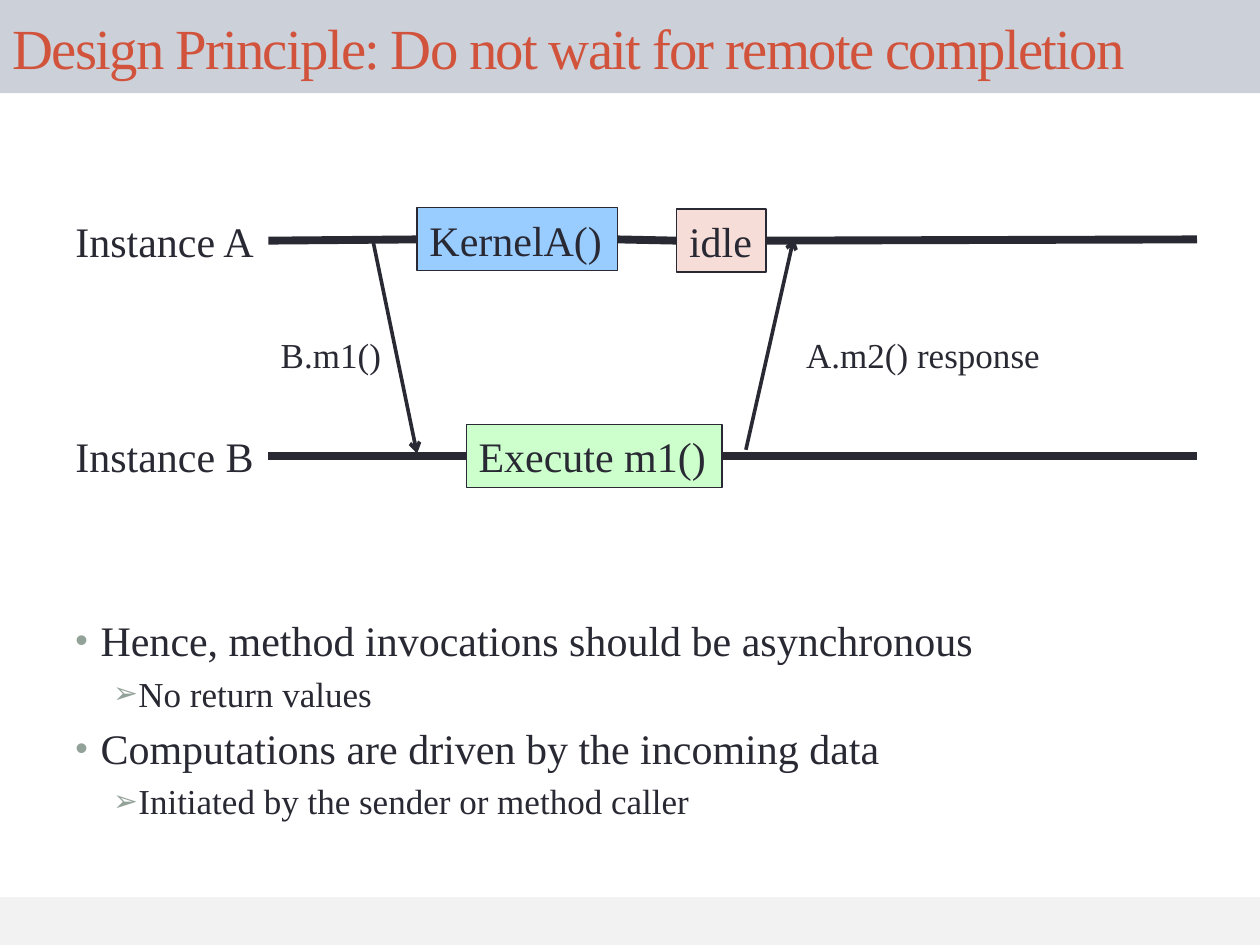
from lxml import etree
from pptx import Presentation
from pptx.dml.color import RGBColor
from pptx.enum.shapes import MSO_CONNECTOR, MSO_SHAPE
from pptx.enum.text import MSO_ANCHOR, MSO_AUTO_SIZE, PP_ALIGN
from pptx.oxml.ns import qn
from pptx.util import Inches, Pt

RECT, LINE = MSO_SHAPE.RECTANGLE, MSO_CONNECTOR.STRAIGHT
MIDDLE, TOP = MSO_ANCHOR.MIDDLE, MSO_ANCHOR.TOP
LEFT, NO_FIT = PP_ALIGN.LEFT, MSO_AUTO_SIZE.NONE
WEST, EAST = 1, 3  # connection sites of a rectangle

FONT = "Times New Roman"
COLORS = {"ink": "292934", "title": "D2533C", "band": "CCD1D9",
          "foot": "F2F2F2", "idle": "F6DDD8", "run": "CCFFCC",
          "kernel": "99CCFF", "bullet": "93A299"}
COLS, ROWS = 100, 75  # square grid over the slide
CELL = Inches(10) // COLS
ROW_A, ROW_B, ROW_CALL = 16.6, 33.7, 26  # tops of the diagram's rows


def grid(*cells):
    return [round(n * CELL) for n in cells]


def rgb(name):
    return RGBColor.from_string(COLORS[name])


def paint(shape, fill):
    shape.fill.solid()
    shape.fill.fore_color.rgb = rgb(fill)


def style(par, size, color="ink"):
    par.alignment = LEFT
    par.font.name, par.font.size = FONT, Pt(size)
    par.font.color.rgb = rgb(color)


def add_title(slide, text):
    title = slide.shapes.title
    title.left, title.top, title.width, title.height = grid(0, 0, COLS, 7.4)
    paint(title, "band")
    frame = title.text_frame
    frame.text = text
    frame.vertical_anchor, frame.auto_size = MIDDLE, NO_FIT
    par = frame.paragraphs[0]
    style(par, 32.4, "title")
    par.runs[0].font._element.set("spc", "-100")


def add_foot(slide):
    foot = slide.shapes.add_shape(RECT, *grid(0, 71.2, COLS, ROWS - 71.2))
    foot.shadow.inherit = False
    paint(foot, "foot")
    foot.line.fill.background()


def add_label(slide, text, x, y, w, h=5, size=24, fill=None):
    """Text on one line, in a framed box if a fill is given."""
    area = grid(x, y, w, h)
    if fill:
        box = slide.shapes.add_shape(RECT, *area)
        box.shadow.inherit = False
        paint(box, fill)
        box.line.color.rgb, box.line.width = rgb("ink"), Pt(0.75)
    else:
        box = slide.shapes.add_textbox(*area)
    frame = box.text_frame
    frame.text = text
    frame.word_wrap, frame.vertical_anchor = False, TOP
    style(frame.paragraphs[0], size)
    return box


def add_line(slide, start, end, width):
    line = slide.shapes.add_connector(LINE, *grid(*start, *end))
    line.line.color.rgb, line.line.width = rgb("ink"), Pt(width)
    etree.SubElement(line._element.spPr, qn("a:effectLst"))
    return line


def add_track(slide, boxes, end):
    """Time line that joins the boxes and runs on to a free end."""
    for box, after in zip(boxes, boxes[1:] + [None]):
        line = add_line(slide, end, end, 4.5)
        line.begin_connect(box, EAST)
        if after is not None:
            line.end_connect(after, WEST)


def add_arrow(slide, start, end):
    line = add_line(slide, start, end, 2.08)
    etree.SubElement(line.line._get_or_add_ln(), qn("a:tailEnd"), type="arrow")


def add_bullet(par, mark, indent):
    props = par._p.get_or_add_pPr()
    props.set("marL", str(Inches(indent)))
    props.set("indent", str(Inches(-0.2)))
    color = etree.SubElement(props, qn("a:buClr"))
    etree.SubElement(color, qn("a:srgbClr"), val=COLORS["bullet"])
    etree.SubElement(props, qn("a:buSzPct"), val="85000")
    etree.SubElement(props, qn("a:buFont"), typeface="Arial")
    etree.SubElement(props, qn("a:buChar"), char=mark)


def add_list(slide, items):
    frame = slide.shapes.add_textbox(*grid(5, 48.3, 90, 21.4)).text_frame
    frame.word_wrap = True
    levels = [("•", 0.2, 24), ("➢", 0.5, 20)]
    for i, (level, text) in enumerate(items):
        par = frame.add_paragraph() if i else frame.paragraphs[0]
        mark, indent, size = levels[level]
        par.text, par.level = text, level
        add_bullet(par, mark, indent)
        if i:
            par.space_before = Pt(size * 0.2)
        style(par, size)


def main():
    deck = Presentation()
    deck.slide_width, deck.slide_height = grid(COLS, ROWS)
    slide = deck.slides.add_slide(deck.slide_layouts[5])

    # Title and foot bands
    add_foot(slide)
    add_title(slide, "Design Principle: Do not wait for remote completion")

    # Time lines of both instances
    name_a = add_label(slide, "Instance A", 5, ROW_A, 16.3)
    kernel = add_label(slide, "KernelA()", 33.1, ROW_A - 0.1, 15.9, fill="kernel")
    idle = add_label(slide, "idle", 53.7, ROW_A, 7.1, fill="idle")
    name_b = add_label(slide, "Instance B", 5, ROW_B, 16.3)
    run = add_label(slide, "Execute m1()", 37, ROW_B, 20.3, fill="run")
    add_track(slide, [name_a, kernel, idle], (95, 19))
    add_track(slide, [name_b, run], (95, 36.2))

    # Calls between them
    add_label(slide, "B.m1()", 21.3, ROW_CALL, 10, 4.4, 20)
    add_label(slide, "A.m2() response", 63, ROW_CALL, 20.7, 4.4, 20)
    add_arrow(slide, (29.6, 19.1), (33.1, 36))
    add_arrow(slide, (59.2, 35.7), (63, 18.9))

    # Conclusions
    add_list(slide, [
        (0, "Hence, method invocations should be asynchronous"),
        (1, "No return values"),
        (0, "Computations are driven by the incoming data"),
        (1, "Initiated by the sender or method caller")])

    deck.save("out.pptx")


if __name__ == "__main__":
    main()
